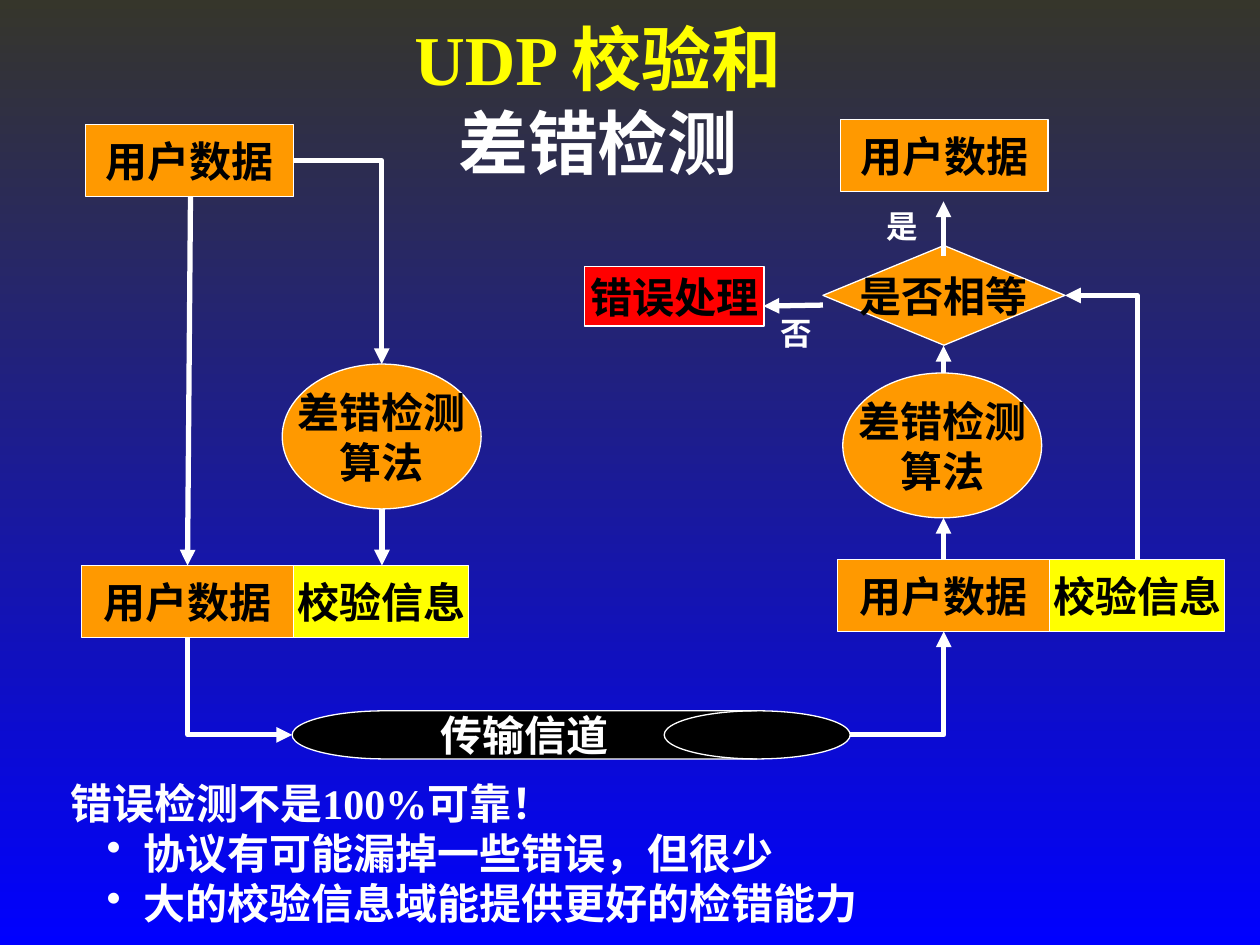
from dataclasses import dataclass

from lxml.etree import SubElement
from pptx import Presentation
from pptx.dml.color import RGBColor
from pptx.enum.shapes import MSO_CONNECTOR, MSO_SHAPE
from pptx.enum.text import MSO_ANCHOR, MSO_AUTO_SIZE, PP_ALIGN
from pptx.oxml.ns import qn
from pptx.util import Cm, Pt

RECT = MSO_SHAPE.RECTANGLE
OVAL = MSO_SHAPE.OVAL
DRUM = MSO_SHAPE.FLOWCHART_DIRECT_ACCESS_STORAGE
CHOICE = MSO_SHAPE.FLOWCHART_DECISION
PROCESS = MSO_SHAPE.FLOWCHART_PROCESS
LINE, ELBOW = MSO_CONNECTOR.STRAIGHT, MSO_CONNECTOR.ELBOW
MIDDLE, TOP = MSO_ANCHOR.MIDDLE, MSO_ANCHOR.TOP
CENTER, LEFT = PP_ALIGN.CENTER, PP_ALIGN.LEFT
TITLE_ONLY = 5

# Connection sites of a shape
S_TOP, S_LEFT, S_BOTTOM, S_RIGHT, S_DRUM = 0, 1, 2, 3, 4


@dataclass(frozen=True)
class Theme:
    white: str = "FFFFFF"
    black: str = "000000"
    orange: str = "FF9900"
    yellow: str = "FFFF00"
    red: str = "FF0000"
    dusk: str = "36362B"
    blue: str = "0000FF"
    serif: str = "Times New Roman"
    sans: str = "Noto Sans CJK SC"
    head: int = 40
    body: int = 24
    note: int = 18
    leading: float = 1.2
    thin: float = 0.75
    thick: float = 3


def rgb(code):
    return RGBColor.from_string(code)


class Board:
    def __init__(self, slide, theme):
        self.slide, self.theme = slide, theme

    def backdrop(self):
        fill = self.slide.background.fill
        fill.gradient()
        fill.gradient_angle = 270
        for stop, color in zip(fill.gradient_stops, (self.theme.dusk, self.theme.blue)):
            stop.color.rgb = rgb(color)
        for stop, place in zip(fill.gradient_stops, (0, 1)):
            stop.position = place

    def style(self, par, size, color, face, align):
        par.alignment = align
        par.line_spacing = Pt(size * self.theme.leading)
        par.space_before = Pt(0)
        font = par.font
        font.size, font.bold, font.name = Pt(size), True, face
        font.color.rgb = rgb(color)
        base = par._p.pPr.find(qn("a:defRPr"))
        SubElement(base, qn("a:ea"), typeface=self.theme.sans)

    def title(self, spot, first, second):
        t = self.theme
        box = self.slide.shapes.title
        box.left, box.top, box.width, box.height = map(Cm, spot)
        frame = box.text_frame
        frame.auto_size = MSO_AUTO_SIZE.NONE
        frame.vertical_anchor = MIDDLE
        par = frame.paragraphs[0]
        par.add_run().text = first
        par.add_line_break()
        par.add_run().text = second
        self.style(par, t.head, t.yellow, t.serif, CENTER)
        par.runs[1].font.color.rgb = rgb(t.white)

    def text(self, spot, lines, size, face):
        """Text box whose lines after the first are bulleted."""
        box = self.slide.shapes.add_textbox(*map(Cm, spot))
        frame = box.text_frame
        frame.word_wrap = True
        frame.vertical_anchor = TOP
        frame.text = "\n".join(lines)
        for i, par in enumerate(frame.paragraphs):
            if i:
                par.level = 1
                props = par._p.get_or_add_pPr()
                props.set("marL", str(Cm(1.48)))
                props.set("indent", str(Cm(-0.75)))
                SubElement(props, qn("a:buChar"), char="•")
            self.style(par, size, self.theme.white, face, LEFT)

    def node(self, kind, spot, words, fill, ink=Theme.black):
        t = self.theme
        shape = self.slide.shapes.add_shape(kind, *map(Cm, spot))
        shape.shadow.inherit = False
        shape.fill.solid()
        shape.fill.fore_color.rgb = rgb(fill)
        shape.line.color.rgb = rgb(t.white)
        shape.line.width = Pt(t.thin)
        frame = shape.text_frame
        frame.word_wrap = False
        frame.vertical_anchor = MIDDLE
        frame.text = words
        for par in frame.paragraphs:
            self.style(par, t.body, ink, t.sans, CENTER)
        return shape

    def link(self, kind, start, end, tip="a:tailEnd"):
        line = self.slide.shapes.add_connector(kind, *start, *end)
        line.line.color.rgb = rgb(self.theme.white)
        line.line.width = Pt(self.theme.thick)
        props = line._element.spPr
        SubElement(props.find(qn("a:ln")), qn(tip), type="triangle")
        SubElement(props, qn("a:effectLst"))
        return line

    def arrow(self, start, end):
        self.link(LINE, map(Cm, start), map(Cm, end))

    def elbow(self, a, a_site, b, b_site, tip="a:tailEnd"):
        """One bend: leaves a sideways and meets b from above or below."""
        x = a.left if a_site == S_LEFT else a.left + a.width
        y = b.top if b_site == S_TOP else b.top + b.height
        start = (x, a.top + a.height // 2)
        end = (b.left + b.width // 2, y)
        line = self.link(ELBOW, start, end, tip)._element
        line.spPr.find(qn("a:prstGeom")).set("prst", "bentConnector2")
        ends = line.find(".//" + qn("p:cNvCxnSpPr"))
        for tag, shape, site in (("a:stCxn", a, a_site), ("a:endCxn", b, b_site)):
            SubElement(ends, qn(tag), id=str(shape.shape_id), idx=str(site))


def main():
    t = Theme()
    deck = Presentation()
    deck.slide_width, deck.slide_height = Cm(25.4), Cm(19.05)
    board = Board(deck.slides.add_slide(deck.slide_layouts[TITLE_ONLY]), t)
    board.backdrop()
    board.title((7.9, 0.58, 8.31, 2.84), "UDP 校验和", "差错检测")

    # Closing remarks
    board.text((1.17, 15.54, 23.14, 3.3),
               ("错误检测不是100%可靠！",
                "协议有可能漏掉一些错误，但很少",
                "大的校验信息域能提供更好的检错能力"), t.body, t.serif)

    # Data, algorithm and packet on both sides
    sides = []
    for data, oval, packet in (((1.73, 2.51), (5.69, 7.34), (1.65, 11.4)),
                               ((16.94, 2.41), (16.99, 7.52), (16.89, 11.28))):
        x, y = packet
        sides.append((
            board.node(RECT, (*data, 4.19, 1.45), "用户数据", t.orange),
            board.node(OVAL, (*oval, 4.01, 2.92), "差错检测\n算法", t.orange),
            board.node(RECT, (x, y, 4.27, 1.45), "用户数据", t.orange),
            board.node(RECT, (x + 4.27, y, 3.53, 1.45), "校验信息", t.yellow)))
    (source, method, sent, _), (_, _, got, check) = sides

    # Channel, comparison and error handling
    drum = board.node(DRUM, (5.89, 14.33, 11.25, 0.97), "传输信道", t.black, t.white)
    choice = board.node(CHOICE, (16.59, 4.95, 4.88, 2.01), "是否相等", t.orange)
    board.node(PROCESS, (11.79, 5.38, 3.61, 1.19), "错误处理", t.red)

    # Bent arrows
    board.elbow(source, S_RIGHT, method, S_TOP)
    board.elbow(drum, S_LEFT, sent, S_BOTTOM, "a:headEnd")
    board.elbow(drum, S_DRUM, got, S_BOTTOM)
    board.elbow(choice, S_RIGHT, check, S_TOP, "a:headEnd")

    # Straight arrows
    for start, end in (((7.7, 10.27), (7.7, 11.4)),
                       ((3.84, 3.96), (3.78, 11.4)),
                       ((19.02, 11.28), (19.02, 10.44)),
                       ((19.02, 7.52), (19.02, 6.97)),
                       ((19.02, 5.16), (19.02, 4.06)),
                       ((16.59, 6.15), (15.39, 6.17))):
        board.arrow(start, end)

    # Branch labels
    for word, x, y in (("是", 17.63, 4.04), ("否", 15.49, 6.2)):
        board.text((x, y, 1.17, 1.02), (word,), t.note, t.sans)

    deck.save("out.pptx")


if __name__ == "__main__":
    main()
